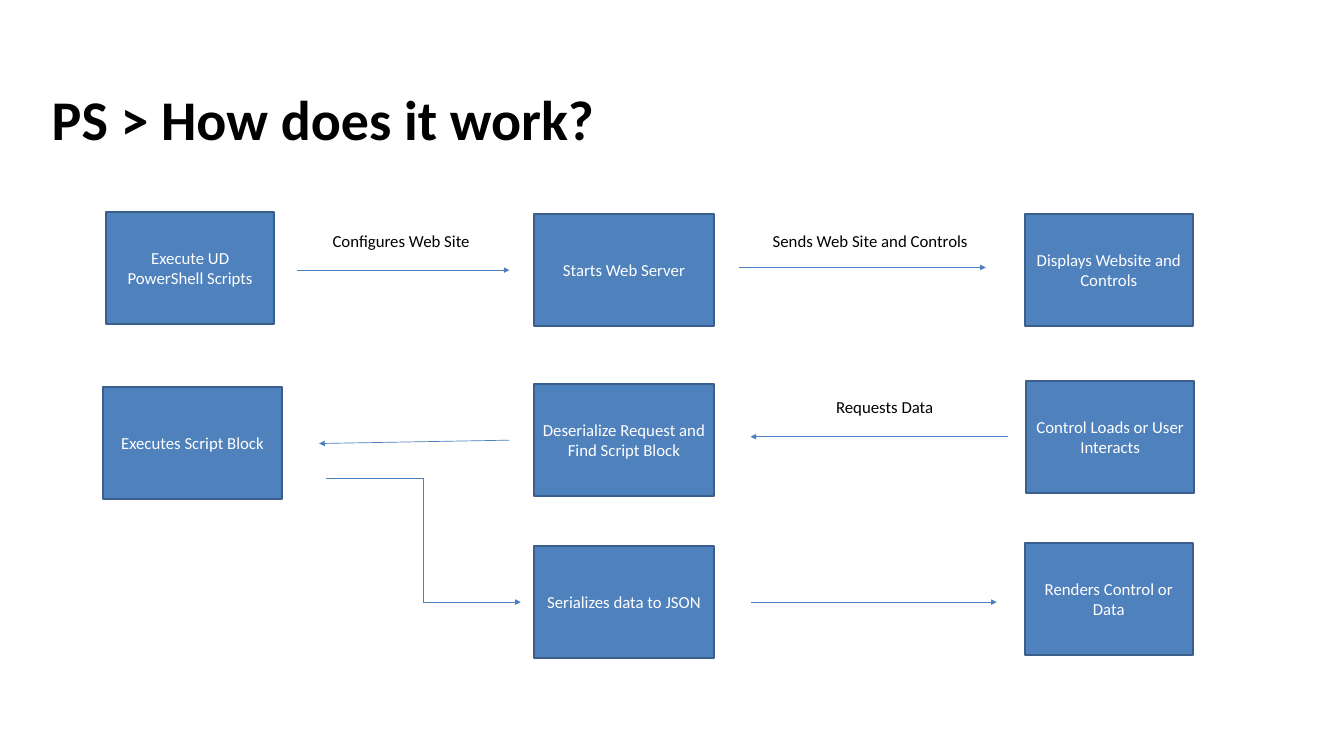
from dataclasses import dataclass

from lxml import etree
from pptx import Presentation
from pptx.dml.color import RGBColor
from pptx.enum.shapes import MSO_CONNECTOR, MSO_SHAPE
from pptx.enum.text import MSO_ANCHOR, MSO_AUTO_SIZE, PP_ALIGN
from pptx.oxml.ns import qn
from pptx.util import Inches, Pt

STRAIGHT, ELBOW = MSO_CONNECTOR.STRAIGHT, MSO_CONNECTOR.ELBOW
RECT = MSO_SHAPE.RECTANGLE
LEFT, CENTER = PP_ALIGN.LEFT, PP_ALIGN.CENTER
TOP, MIDDLE = MSO_ANCHOR.TOP, MSO_ANCHOR.MIDDLE
NO_FIT = MSO_AUTO_SIZE.NONE
TITLE_ONLY = 5


@dataclass(frozen=True)
class Theme:
    font: str = "Calibri"
    title_size: int = 60
    body_size: int = 18
    ink: str = "000000"
    paper: str = "FFFFFF"
    box_fill: str = "4F81BD"
    box_line: str = "3A5F8C"
    arrow: str = "4B7EBC"
    box_line_width: float = 2
    arrow_width: float = 0.75


THEME = Theme()
WIDE, NARROW = 2.67, 2.5
BOX_HEIGHT, LABEL_HEIGHT = 1.67, 0.4

# Offsets in inches from the top left corner of the diagram
STEPS = [  # text, x, y, width
    ("Execute UD PowerShell Scripts", 0.08, 0.15, NARROW),
    ("Starts Web Server", 6.45, 0.18, WIDE),
    ("Displays Website and Controls", 13.75, 0.18, NARROW),
    ("Control Loads or User Interacts", 13.77, 2.67, NARROW),
    ("Deserialize Request and Find Script Block", 6.45, 2.71, WIDE),
    ("Executes Script Block", 0.03, 2.76, WIDE),
    ("Serializes data to JSON", 6.45, 5.12, WIDE),
    ("Renders Control or Data", 13.75, 5.08, NARROW),
]
ARROWS = [  # kind, start, end
    (STRAIGHT, (2.92, 1.02), (6.08, 1.02)),
    (STRAIGHT, (9.5, 0.98), (13.17, 0.98)),
    (STRAIGHT, (13.5, 3.5), (9.67, 3.5)),
    (STRAIGHT, (6.08, 3.55), (3.25, 3.6)),
    (ELBOW, (3.35, 4.12), (6.25, 5.96)),
    (STRAIGHT, (9.67, 5.96), (13.33, 5.96)),
]
LABELS = [  # text, x, y, width, alignment
    ("Configures Web Site", 3.35, 0.38, 2.27, LEFT),
    ("Sends Web Site and Controls", 9.9, 0.38, 3.12, LEFT),
    ("Requests Data", 10.83, 2.86, 1.67, CENTER),
]


def write(shape, text, size=THEME.body_size, color=THEME.ink, bold=False,
          align=LEFT, anchor=TOP, wrap=False):
    tf = shape.text_frame
    tf.auto_size = NO_FIT
    tf.word_wrap = wrap
    tf.vertical_anchor = anchor
    p = tf.paragraphs[0]
    p.alignment = align
    r = p.add_run()
    r.text = text
    r.font.name = THEME.font
    r.font.size = Pt(size)
    r.font.bold = bold
    r.font.color.rgb = RGBColor.from_string(color)


def add_title(s, text, left, top, width, height):
    title = s.shapes.title
    title.left, title.top = Inches(left), Inches(top)
    title.width, title.height = Inches(width), Inches(height)
    write(title, text, size=THEME.title_size, bold=True)


def add_step(s, text, left, top, width):
    sp = s.shapes.add_shape(RECT, Inches(left), Inches(top), Inches(width), Inches(BOX_HEIGHT))
    sp.shadow.inherit = False
    sp.fill.solid()
    sp.fill.fore_color.rgb = RGBColor.from_string(THEME.box_fill)
    sp.line.color.rgb = RGBColor.from_string(THEME.box_line)
    sp.line.width = Pt(THEME.box_line_width)
    write(sp, text, color=THEME.paper, align=CENTER, anchor=MIDDLE, wrap=True)


def add_arrow(s, kind, x1, y1, x2, y2):
    line = s.shapes.add_connector(kind, Inches(x1), Inches(y1), Inches(x2), Inches(y2))
    line.line.color.rgb = RGBColor.from_string(THEME.arrow)
    line.line.width = Pt(THEME.arrow_width)
    etree.SubElement(line.line._get_or_add_ln(), qn("a:tailEnd"), type="triangle")
    etree.SubElement(line._element.spPr, qn("a:effectLst"))


def add_label(s, text, left, top, width, align):
    sp = s.shapes.add_textbox(Inches(left), Inches(top), Inches(width), Inches(LABEL_HEIGHT))
    write(sp, text, align=align)


def add_flow(s, left, top):
    for text, x, y, width in STEPS:
        add_step(s, text, left + x, top + y, width)
    for kind, (x1, y1), (x2, y2) in ARROWS:
        add_arrow(s, kind, left + x1, top + y1, left + x2, top + y2)
    for text, x, y, width, align in LABELS:
        add_label(s, text, left + x, top + y, width, align)


def main():
    prs = Presentation()
    prs.slide_width, prs.slide_height = Inches(20), Inches(11.25)
    s = prs.slides.add_slide(prs.slide_layouts[TITLE_ONLY])
    add_title(s, "PS > How does it work?", 0.67, 1.21, 8.36, 1.11)
    add_flow(s, 1.5, 3)
    prs.save("out.pptx")


if __name__ == "__main__":
    main()
